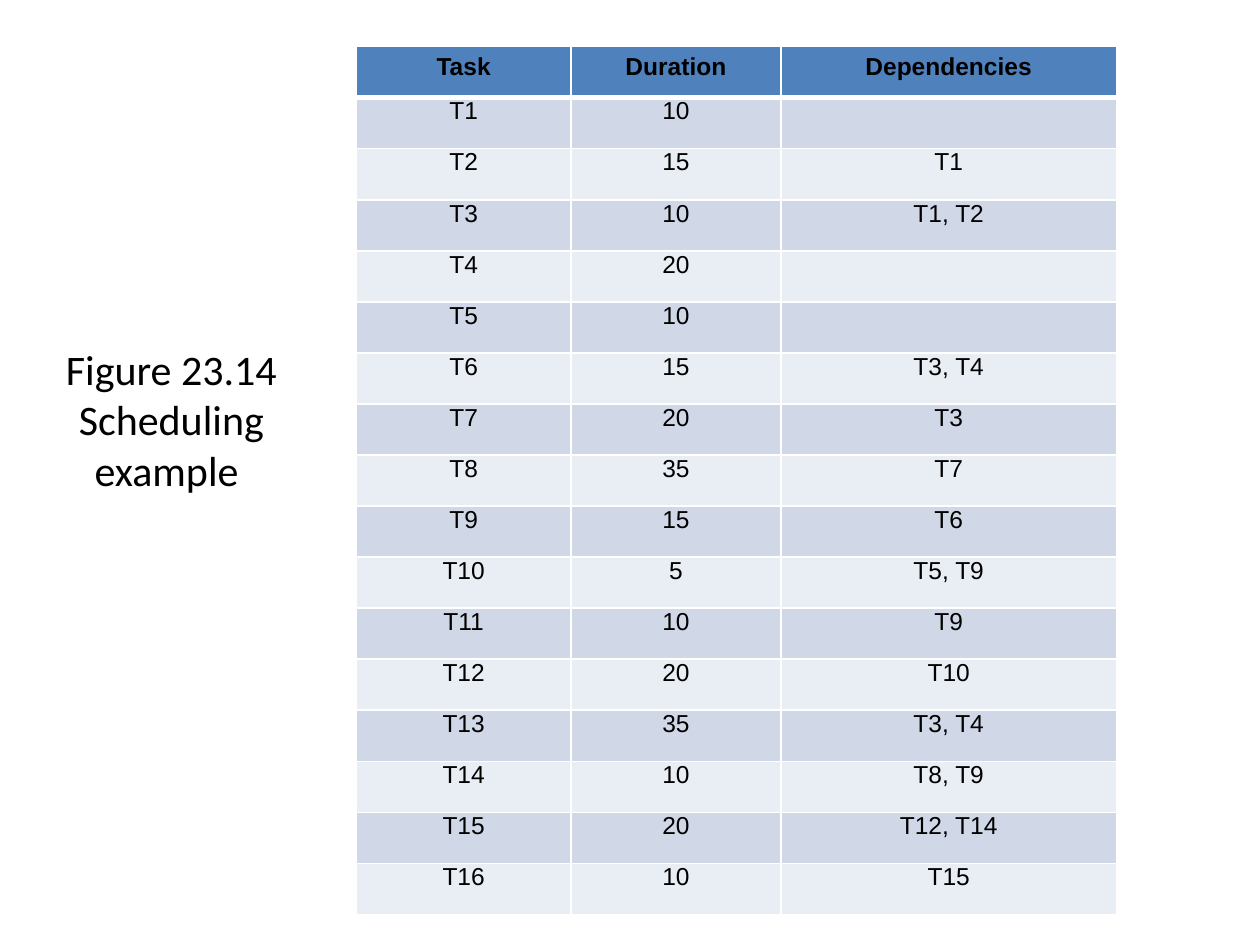
from pptx import Presentation
from pptx.dml.color import RGBColor
from pptx.enum.text import MSO_ANCHOR, PP_ALIGN
from pptx.oxml import parse_xml
from pptx.oxml.ns import nsdecls
from pptx.util import Inches, Pt


def style(p, name, size, bold=False):
    p.alignment = PP_ALIGN.CENTER
    p.font.name = name
    p.font.size = Pt(size)
    p.font.bold = bold
    p.font.color.rgb = RGBColor.from_string("000000")


def set_borders(cell, color, top, bottom):
    """Draw all four sides; top and bottom are widths in points, the sides are 1."""
    sides = [("lnL", 1), ("lnR", 1), ("lnT", top), ("lnB", bottom)]
    for i, (tag, width) in enumerate(sides):
        ln = parse_xml(
            f'<a:{tag} {nsdecls("a")} w="{Pt(width)}"><a:solidFill>'
            f'<a:srgbClr val="{color}"/></a:solidFill></a:{tag}>'
        )
        cell._tc.get_or_add_tcPr().insert(i, ln)


rows = [
    ("Task", "Duration", "Dependencies"),
    ("T1", "10", ""),
    ("T2", "15", "T1"),
    ("T3", "10", "T1, T2"),
    ("T4", "20", ""),
    ("T5", "10", ""),
    ("T6", "15", "T3, T4"),
    ("T7", "20", "T3"),
    ("T8", "35", "T7"),
    ("T9", "15", "T6"),
    ("T10", "5", "T5, T9"),
    ("T11", "10", "T9"),
    ("T12", "20", "T10"),
    ("T13", "35", "T3, T4"),
    ("T14", "10", "T8, T9"),
    ("T15", "20", "T12, T14"),
    ("T16", "10", "T15"),
]
widths = [1.7, 1.67, 2.66]
table_height = 6.89

prs = Presentation()
prs.slide_width, prs.slide_height = Inches(10), Inches(7.5)
s = prs.slides.add_slide(prs.slide_layouts[6])

# Title
title = s.shapes.add_textbox(Inches(0.25), Inches(1.94), Inches(2.22), Inches(2.77))
tf = title.text_frame
tf.word_wrap = True
tf.vertical_anchor = MSO_ANCHOR.MIDDLE
p = tf.paragraphs[0]
p.text = "Figure 23.14 Scheduling example "
style(p, "Calibri", 24)

# Task table
table = s.shapes.add_table(
    len(rows), len(widths), Inches(2.83), Inches(0.37),
    Inches(sum(widths)), Inches(table_height),
).table
table.horz_banding = False
for column, width in zip(table.columns, widths):
    column.width = Inches(width)

for r, values in enumerate(rows):
    table.rows[r].height = Inches(table_height / len(rows))
    header = r == 0
    fill = "4F81BD" if header else ("E9EDF4", "D0D8E8")[r % 2]
    for c, text in enumerate(values):
        cell = table.cell(r, c)
        cell.margin_left = cell.margin_right = Inches(0.08)
        cell.margin_top = Inches(0.05 if header else 0)
        cell.margin_bottom = Inches(0.05)
        cell.fill.solid()
        cell.fill.fore_color.rgb = RGBColor.from_string(fill)
        set_borders(cell, "FFFFFF", 3 if r == 1 else 1, 3 if header else 1)
        p = cell.text_frame.paragraphs[0]
        p.text = text
        style(p, "Arial", 14, header)

prs.save("out.pptx")
